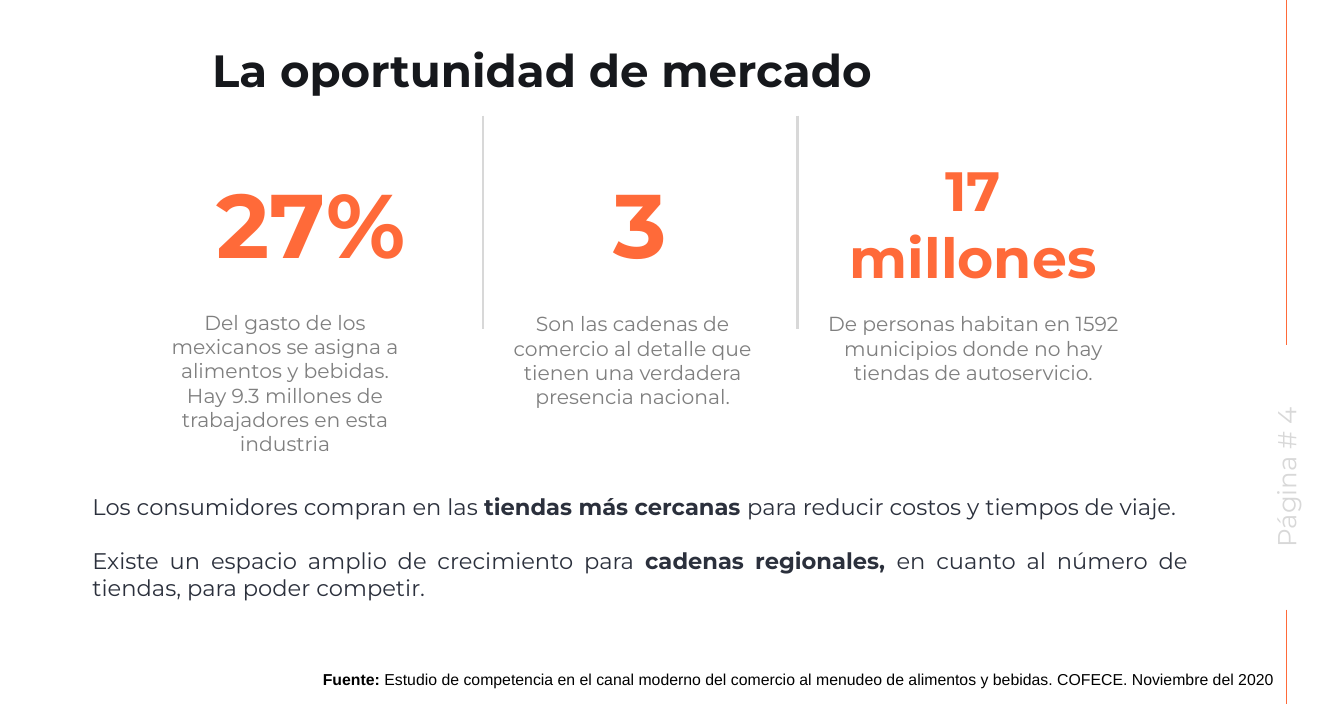
from pptx import Presentation
from pptx import util as u
from pptx.dml.color import RGBColor
from pptx.enum import shapes, text
from pptx.oxml.ns import qn
from lxml import etree

ORANGE = RGBColor(0xFF, 0x6A, 0x39)
BLACK = RGBColor(0, 0, 0)
INK = RGBColor(0x16, 0x18, 0x1C)
SLATE = RGBColor(0x2B, 0x30, 0x3C)
GRAY = RGBColor(0x7F, 0x7F, 0x7F)
SILVER = RGBColor(0xD8, 0xD8, 0xD8)
ALIGN = text.PP_ALIGN
ANCHOR = text.MSO_ANCHOR

deck = Presentation()
deck.slide_width, deck.slide_height = u.Cm(42.01), u.Cm(22)
page = deck.slides.add_slide(deck.slide_layouts[5])


def write(box, place, paragraphs, size, color, align=ALIGN.CENTER,
          anchor=ANCHOR.TOP, font="Montserrat", inset=(0.41, 0.41), gap=0):
    box.left, box.top, box.width, box.height = [u.Cm(n) for n in place]
    frame = box.text_frame
    frame.word_wrap = True
    frame.auto_size = text.MSO_AUTO_SIZE.NONE
    frame.vertical_anchor = anchor
    frame.margin_left = frame.margin_right = u.Cm(inset[0])
    frame.margin_top = frame.margin_bottom = u.Cm(inset[1])
    for index, spans in enumerate(paragraphs):
        para = frame.add_paragraph() if index else frame.paragraphs[0]
        para.alignment = align
        para.space_before = u.Pt(gap if index else 0)
        for words, bold in spans:
            span = para.add_run()
            span.text = words
            span.font.name = font
            span.font.size = u.Pt(size)
            span.font.bold = bold
            span.font.color.rgb = color


def new_box():
    return page.shapes.add_textbox(0, 0, 0, 0)


for x, top, bottom, color, weight in [
    (40.21, 0, 10.77, ORANGE, 1.5),
    (40.21, 19.05, 22, ORANGE, 1.5),
    (15.09, 3.61, 10.29, SILVER, 2.25),
    (24.92, 3.61, 10.29, SILVER, 2.25),
]:
    rule = page.shapes.add_connector(
        shapes.MSO_CONNECTOR.STRAIGHT, u.Cm(x), u.Cm(top), u.Cm(x), u.Cm(bottom))
    rule.line.color.rgb = color
    rule.line.width = u.Pt(weight)
    etree.SubElement(rule._element.spPr, qn("a:effectLst"))

write(page.shapes.title, (6.22, 1.19, 25.6, 1.98),
      [[("La oportunidad de mercado", True)]], 40, INK, ALIGN.LEFT, ANCHOR.MIDDLE)

page_label = new_box()
write(page_label, (36.04, 14, 8.36, 1.83), [[("Página # 4", False)]], 23, SILVER)
page_label.rotation = 270

for figure, size, left, caption, place in [
    ("27%", 80, 5.26,
     "Del gasto de los mexicanos se asigna a alimentos y bebidas. "
     "Hay 9.3 millones de trabajadores en esta industria",
     (4.72, 9.27, 8.38, 5.31)),
    ("3", 80, 15.54,
     "Son las cadenas de comercio al detalle que tienen una verdadera "
     "presencia nacional.",
     (15.09, 9.32, 9.37, 5.31)),
    ("17 millones", 49, 25.96,
     "De personas habitan en 1592 municipios donde no hay tiendas de autoservicio.",
     (25.37, 9.32, 10.11, 3.91)),
]:
    write(new_box(), (left, 3.2, 8.92, 7.52), [[(figure, True)]], size, ORANGE,
          anchor=ANCHOR.MIDDLE)
    write(new_box(), place, [[(caption, False)]], 18, GRAY)

write(new_box(), (2.46, 15.27, 35.1, 3.68), [
    [("Los consumidores compran en las ", False),
     ("tiendas más cercanas ", True),
     ("para reducir costos y tiempos de viaje.", False)],
    [("Existe un espacio amplio de crecimiento para ", False),
     ("cadenas regionales, ", True),
     ("en cuanto al número de tiendas, para poder competir.", False)],
], 20, SLATE, ALIGN.JUSTIFY, inset=(0.43, 0.13), gap=24)

write(new_box(), (9.68, 20.52, 31.04, 1.3), [
    [("Fuente: ", True),
     ("Estudio de competencia en el canal moderno del comercio al menudeo de "
      "alimentos y bebidas. COFECE. Noviembre del 2020", False)],
], 14, BLACK, ALIGN.LEFT, font="Arial")

deck.save("out.pptx")
